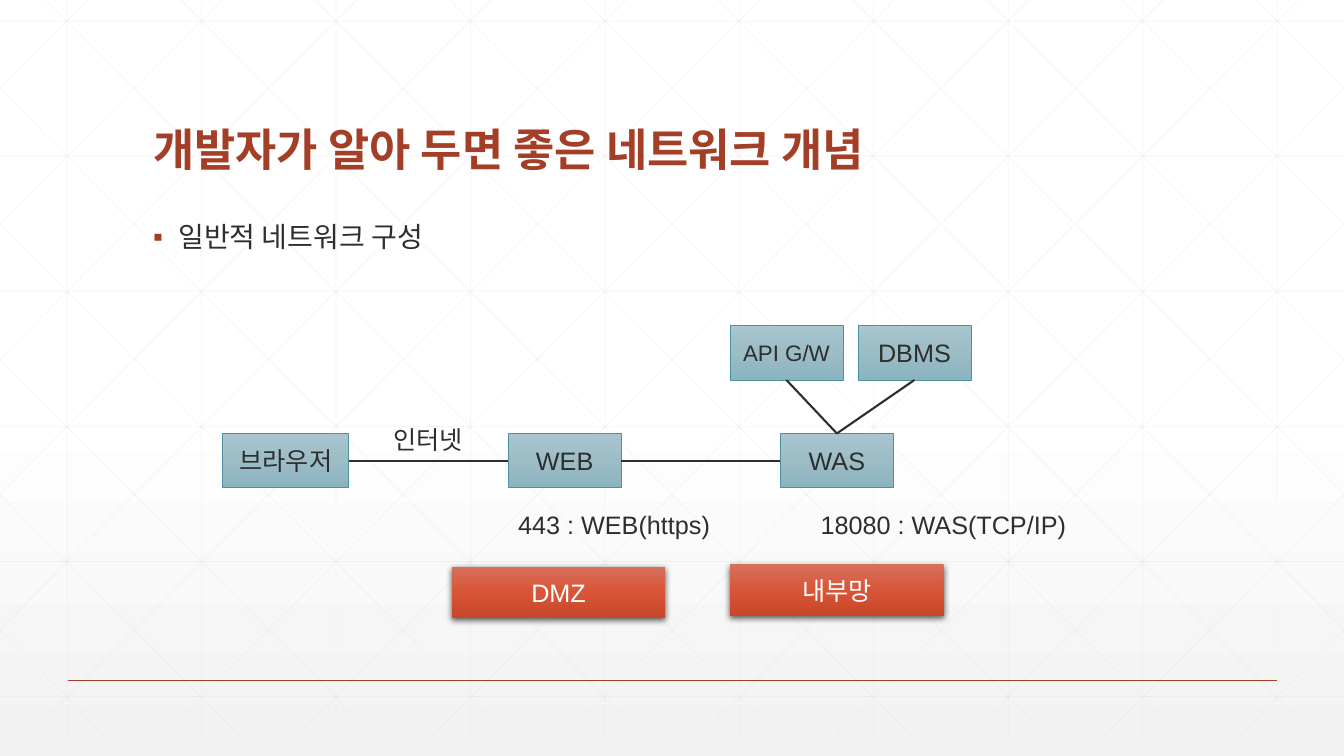
from dataclasses import dataclass
from typing import Any

from lxml import etree
from pptx import Presentation
from pptx import util as u
from pptx.dml.color import RGBColor
from pptx.enum import shapes, text
from pptx.oxml.ns import qn


@dataclass(frozen=True)
class Theme:
    latin: str = "Arial"
    korean: str = "Noto Sans CJK KR"
    ink: str = "2D2E2D"
    accent: str = "A43F27"
    white: str = "FFFFFF"
    grid: str = "D9D9D9"
    node_line: str = "4F91A1"
    node_fill: tuple = ((0, "A9C6CF"), (50, "9CBCC6"), (100, "8AB4C0"))
    zone_fill: tuple = ((0, "D7705D"), (50, "D85537"), (100, "C84728"))
    background: tuple = ((0, "FFFFFF"), (53, "FFFFFF"), (100, "F2F2F2"))
    title_size: int = 32
    body_size: int = 20
    label_size: int = 18
    small_size: int = 16


THEME = Theme()
WIDTH, HEIGHT = 13.33, 7.5
GRID_TOP, GRID_BOTTOM = -0.21, 7.29
GRID_STEP = 4 / 3
NODE_HEIGHT = 0.54
TIER_TOP, BACKEND_TOP = 4.3, 3.23
TOP, LEFT, BOTTOM, RIGHT = range(4)


@dataclass(frozen=True)
class Node:
    label: str
    left: float
    top: float = TIER_TOP
    width: float = 1.12
    size: int = THEME.label_size


@dataclass(frozen=True)
class Zone:
    label: str
    left: float
    top: float


@dataclass(frozen=True)
class Label:
    words: str
    left: float
    top: float
    width: float


@dataclass(frozen=True)
class Link:
    start: str
    start_side: int
    end: str
    end_side: int


NODES = [
    Node("브라우저", 2.21, width=1.25),
    Node("WEB", 5.04),
    Node("WAS", 7.74),
    Node("DBMS", 8.51, BACKEND_TOP),
    Node("API G/W", 7.24, BACKEND_TOP, size=THEME.small_size),
]
LINKS = [
    Link("브라우저", RIGHT, "WEB", LEFT),
    Link("WEB", RIGHT, "WAS", LEFT),
    Link("WAS", TOP, "DBMS", BOTTOM),
    Link("WAS", TOP, "API G/W", BOTTOM),
]
LABELS = [
    Label("인터넷", 3.8, 4.16, 0.96),
    Label("443 : WEB(https)", 5.04, 5, 2.12),
    Label("18080 : WAS(TCP/IP)", 8.04, 5, 2.66),
]
ZONES = [Zone("DMZ", 4.48, 5.62), Zone("내부망", 7.24, 5.6)]


def add_element(parent: Any, tag: str, **attributes: Any) -> Any:
    values = {name: str(value) for name, value in attributes.items()}
    return etree.SubElement(parent, qn(tag), values)


def set_gradient(fill: Any, parent: Any, stops: tuple) -> None:
    """Give a fill, held by the XML element parent, a top-to-bottom gradient."""
    fill.solid()
    gradient = etree.Element(qn("a:gradFill"), rotWithShape="1")
    stop_list = add_element(gradient, "a:gsLst")
    for position, color in stops:
        stop = add_element(stop_list, "a:gs", pos=position * 1000)
        add_element(stop, "a:srgbClr", val=color)
    add_element(gradient, "a:lin", ang=90 * 60000, scaled=0)
    parent.replace(parent.find(qn("a:solidFill")), gradient)


def add_run(paragraph: Any, words: str, size: int, color: str,
            font_name: str = THEME.latin, bold: bool = False) -> None:
    run = paragraph.add_run()
    run.text = words
    run.font.name = font_name
    run.font.size = u.Pt(size)
    run.font.bold = bold
    run.font.color.rgb = RGBColor.from_string(color)
    add_element(run.font._element, "a:ea", typeface=THEME.korean)


def add_line(slide: Any, start: tuple, end: tuple, color: str, width: float) -> Any:
    line = slide.shapes.add_connector(
        shapes.MSO_CONNECTOR.STRAIGHT, *(u.Inches(value) for value in (*start, *end)))
    line.line.color.rgb = RGBColor.from_string(color)
    line.line.width = u.Pt(width)
    add_element(line._element.spPr, "a:effectLst")
    return line


def add_grid_line(slide: Any, start: tuple, end: tuple) -> None:
    line = add_line(slide, start, end, THEME.grid, 0.5)
    color = line._element.spPr.find(".//" + qn("a:srgbClr"))
    add_element(color, "a:alpha", val=25000)


def add_grid(slide: Any) -> None:
    for column in range(10):
        x = (column + 0.5) * GRID_STEP
        add_grid_line(slide, (x, GRID_TOP), (x, GRID_BOTTOM))
    for row in range(6):
        y = 0.21 + 1.34 * row
        add_grid_line(slide, (0, y), (WIDTH, y))
    run_length = 7.45
    slope = (GRID_BOTTOM - GRID_TOP) / run_length
    for step in range(-5, 10):
        origin = 0.25 + step * GRID_STEP
        x1, x2 = max(origin, 0), min(origin + run_length, WIDTH)
        y1, y2 = (GRID_TOP + (x - origin) * slope for x in (x1, x2))
        add_grid_line(slide, (x1, y1), (x2, y2))
        add_grid_line(slide, (WIDTH - x1, y1), (WIDTH - x2, y2))


def add_text_box(slide: Any, left: float, top: float, width: float, height: float) -> Any:
    box = slide.shapes.add_textbox(*(u.Inches(v) for v in (left, top, width, height)))
    box.text_frame.word_wrap = True
    return box.text_frame


def add_heading(slide: Any) -> None:
    frame = add_text_box(slide, 1.42, 0.55, 10.5, 1.25)
    frame.vertical_anchor = text.MSO_ANCHOR.BOTTOM
    paragraph = frame.paragraphs[0]
    paragraph.line_spacing = 0.9
    add_run(paragraph, "개발자가 알아 두면 좋은 네트워크 개념", THEME.title_size,
            THEME.accent, THEME.korean, bold=True)


def add_body(slide: Any) -> None:
    paragraph = add_text_box(slide, 1.42, 2.17, 10.5, 4.17).paragraphs[0]
    paragraph.line_spacing = 0.9
    properties = paragraph._p.get_or_add_pPr()
    properties.set("marL", str(u.Inches(0.25)))
    properties.set("indent", str(u.Inches(-0.25)))
    add_element(add_element(properties, "a:buClr"), "a:srgbClr", val=THEME.accent)
    add_element(properties, "a:buFont", typeface=THEME.latin)
    add_element(properties, "a:buChar", char="▪")
    add_run(paragraph, "일반적 네트워크 구성", THEME.body_size, THEME.ink, THEME.korean)


def add_block(slide: Any, box: tuple, stops: tuple, words: str, size: int, color: str) -> Any:
    """Add a gradient rectangle with centred text."""
    block = slide.shapes.add_shape(
        shapes.MSO_SHAPE.RECTANGLE, *(u.Inches(value) for value in box))
    set_gradient(block.fill, block._element.spPr, stops)
    block.line.fill.background()
    block.shadow.inherit = False
    block.text_frame.word_wrap = True
    block.text_frame.vertical_anchor = text.MSO_ANCHOR.MIDDLE
    paragraph = block.text_frame.paragraphs[0]
    paragraph.alignment = text.PP_ALIGN.CENTER
    add_run(paragraph, words, size, color)
    return block


def add_node(slide: Any, node: Node) -> Any:
    block = add_block(slide, (node.left, node.top, node.width, NODE_HEIGHT),
                      THEME.node_fill, node.label, node.size, THEME.ink)
    block.line.color.rgb = RGBColor.from_string(THEME.node_line)
    block.line.width = u.Pt(0.5)
    return block


def add_zone(slide: Any, zone: Zone) -> None:
    block = add_block(slide, (zone.left, zone.top, 2.12, 0.51),
                      THEME.zone_fill, zone.label, THEME.label_size, THEME.white)
    shadow = add_element(block._element.spPr.find(qn("a:effectLst")), "a:outerShdw",
                         blurRad=u.Pt(4.5), dist=u.Pt(1.5), dir=90 * 60000, rotWithShape=0)
    add_element(add_element(shadow, "a:srgbClr", val="000000"), "a:alpha", val=63000)


def add_label(slide: Any, label: Label) -> None:
    frame = add_text_box(slide, label.left, label.top, label.width, 0.4)
    frame.word_wrap = False
    frame.auto_size = text.MSO_AUTO_SIZE.SHAPE_TO_FIT_TEXT
    add_run(frame.paragraphs[0], label.words, THEME.label_size, THEME.ink)


def main() -> None:
    presentation = Presentation()
    presentation.slide_width, presentation.slide_height = u.Inches(WIDTH), u.Inches(HEIGHT)
    slide = presentation.slides.add_slide(presentation.slide_layouts[6])
    fill = slide.background.fill
    set_gradient(fill, slide._element.find(".//" + qn("p:bgPr")), THEME.background)
    add_grid(slide)
    add_line(slide, (0.67, 6.75), (12.67, 6.75), THEME.accent, 1)
    add_heading(slide)
    add_body(slide)
    blocks = {node.label: add_node(slide, node) for node in NODES}
    for link in LINKS:
        line = add_line(slide, (0, 0), (0, 0), THEME.ink, 1.5)
        line.begin_connect(blocks[link.start], link.start_side)
        line.end_connect(blocks[link.end], link.end_side)
    for label in LABELS:
        add_label(slide, label)
    for zone in ZONES:
        add_zone(slide, zone)
    presentation.save("out.pptx")


if __name__ == "__main__":
    main()
